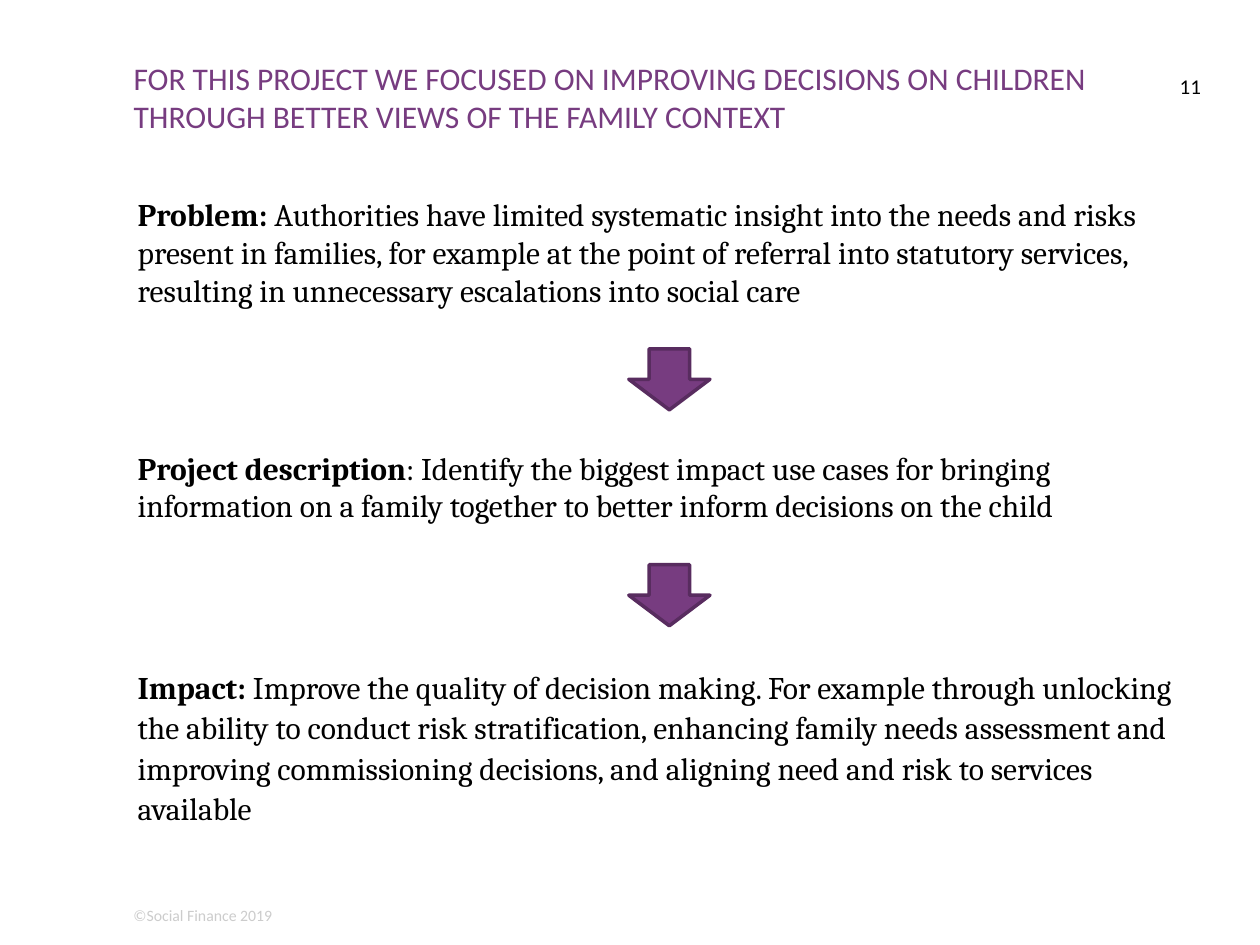
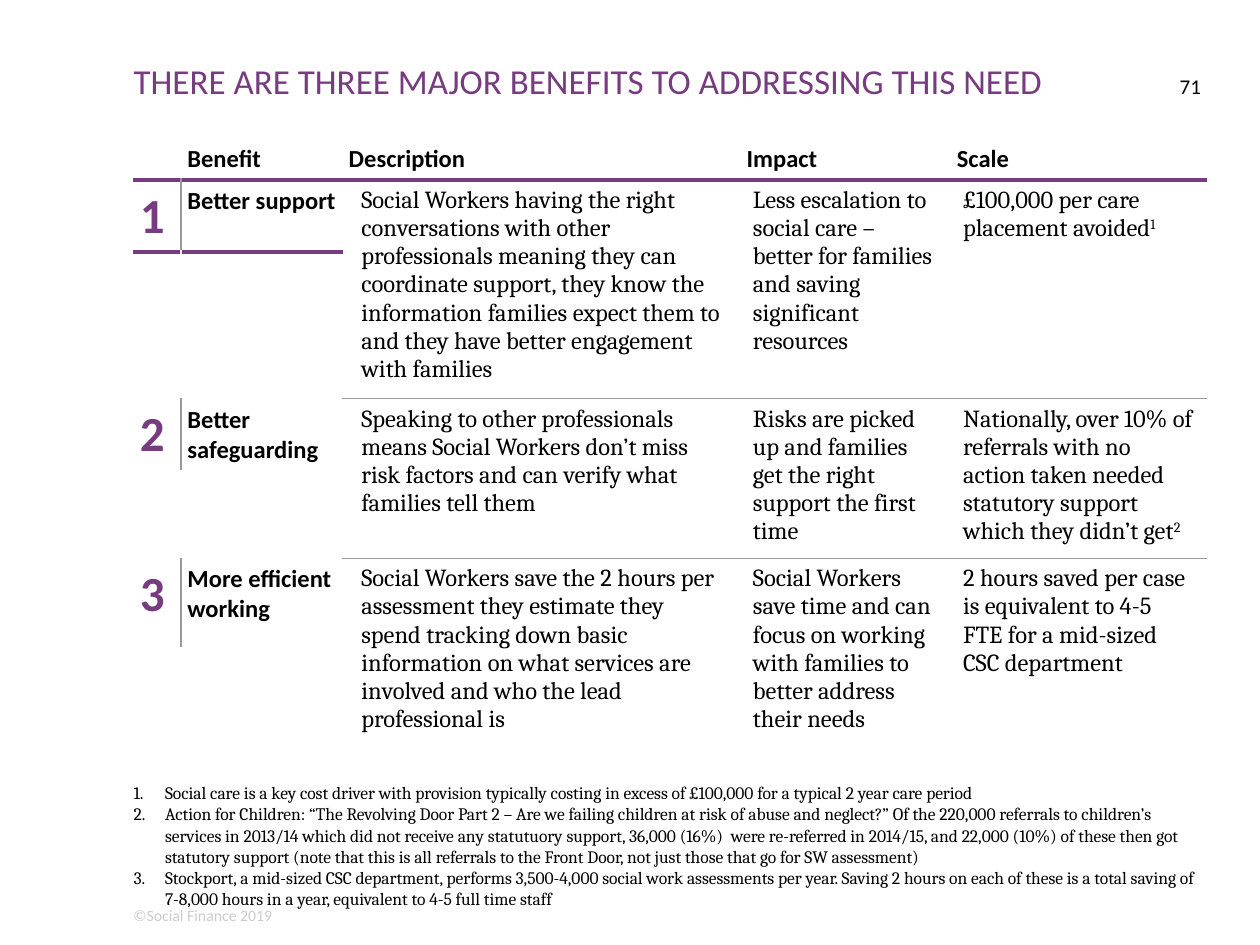
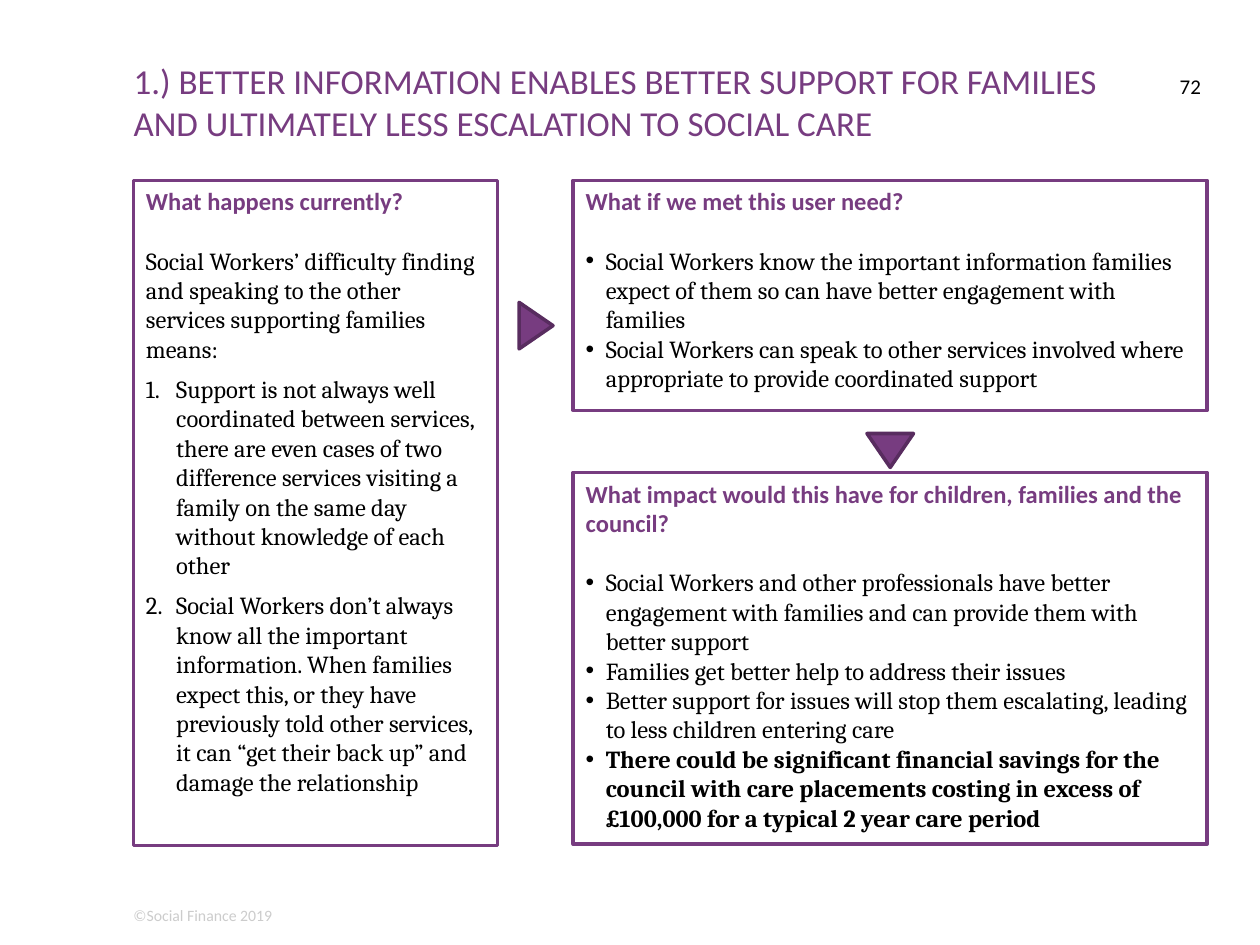
import pptx
import pptx.util
import pptx.dml.color
import pptx.enum.shapes
import pptx.enum.text
import pptx.oxml
import pptx.oxml.ns

Pt = pptx.util.Pt
RGB = pptx.dml.color.RGBColor
SHAPE = pptx.enum.shapes.MSO_SHAPE
ANCHOR = pptx.enum.text.MSO_ANCHOR
ALIGN = pptx.enum.text.PP_ALIGN

PURPLE = RGB(0x77, 0x3C, 0x80)
DARK_PURPLE = RGB(0x58, 0x2C, 0x5F)
GREY = RGB(0x99, 0x99, 0x99)
PALE_GREY = RGB(0xCC, 0xCC, 0xCC)
BLACK = RGB(0, 0, 0)
WHITE = RGB(0xFF, 0xFF, 0xFF)
HEAD_FONT, BODY_FONT = "Calibri", "Cambria"
LEFT = 76.3

FOOTER = "©Social Finance 2019"

FOCUS_TITLE = "FOR THIS PROJECT WE FOCUSED ON IMPROVING DECISIONS ON CHILDREN THROUGH BETTER VIEWS OF THE FAMILY CONTEXT"
FOCUS_STEPS = [
    (111.6, 65.5, 1.0, "Problem:", " Authorities have limited systematic insight into the needs and risks present in families, for example at the point of referral into statutory services, resulting in unnecessary escalations into social care"),
    (256.3, 43.9, 1.0, "Project description", ": Identify the biggest impact use cases for bringing information on a family together to better inform decisions on the child"),
    (380.2, 93.6, 1.07, "Impact:", "\u00a0Improve the quality of decision making. For example through unlocking the ability to conduct risk stratification, enhancing family needs assessment and improving commissioning decisions, and aligning need and risk to services available"),
]
STEP_ARROW_TOPS = [199.3, 322.7]

BENEFITS_TITLE = "THERE ARE THREE MAJOR BENEFITS TO ADDRESSING THIS NEED"
BENEFIT_HEADS = ["Benefit", "Description", "Impact", "Scale"]
BENEFITS = [
    ("Better support",
     "Social Workers having the right conversations with other professionals meaning they can coordinate support, they know the information families expect them to and they have better engagement with families",
     "Less escalation to social care – better for families and saving significant resources",
     "£100,000 per care placement avoided", "1"),
    ("Better safeguarding",
     "Speaking to other professionals means Social Workers don’t miss risk factors and can verify what families tell them",
     "Risks are picked up and families get the right support the first time",
     "Nationally, over 10% of referrals with no action taken needed statutory support which they didn’t get", "2"),
    ("More efficient working",
     "Social Workers save the 2 hours per assessment they estimate they spend tracking down basic information on what services are involved and who the lead professional is",
     "Social Workers save time and can focus on working with families to better address their needs",
     "2 hours saved per case is equivalent to 4-5 FTE for a mid-sized CSC department", ""),
]
COLUMN_WIDTHS = [27.2, 92.2, 227.4, 120.1, 146]
ROW_HEIGHTS = [41.7, 41, 78.6, 41, 46.8, 51, 52.6]
FOOTNOTES = [
    "Social care is a key cost driver with provision typically costing in excess of £100,000 for a typical 2 year care period",
    "Action for Children: “The Revolving Door Part 2 – Are we failing children at risk of abuse and neglect?” Of the 220,000 referrals to children’s services in 2013/14 which did not receive any statutuory support, 36,000 (16%)  were re-referred in 2014/15, and 22,000 (10%) of these then got statutory support (note that this is all referrals to the Front Door, not just those that go for SW assessment)",
    "Stockport, a mid-sized CSC department, performs 3,500-4,000 social work assessments per year. Saving 2 hours on each of these is a total saving of 7-8,000 hours in a year, equivalent to 4-5 full time staff",
]

SUPPORT_TITLE = "1.) BETTER INFORMATION ENABLES BETTER SUPPORT FOR FAMILIES AND ULTIMATELY LESS ESCALATION TO SOCIAL CARE"
NUMBERED = dict(bullet="1.", indent=17.3, before=6)
BULLETED = dict(bullet="•", indent=11.5)
PANELS = [
    ((LEFT, 103, 208.1, 380.2), "What happens currently?", [
        ("Social Workers’ difficulty finding and speaking to the other services supporting families means:", {}),
        ("Support is not always well coordinated between services, there are even cases of two difference services visiting a family on the same day without knowledge of each other", NUMBERED),
        ("Social Workers don’t always know all the important information. When families expect this, or they have previously told other services, it can “get their back up” and damage the relationship", NUMBERED),
    ]),
    ((327.6, 103, 362.2, 131.5), "What if we met this user need?", [
        ("Social Workers know the important information families expect of them so can have better engagement with families", BULLETED),
        ("Social Workers can speak to other services involved where appropriate to provide coordinated support", BULLETED),
    ]),
    ((327.6, 270, 362.2, 212.4), "What impact would this have for children, families and the council?", [
        ("Social Workers and other professionals have better engagement with families and can provide them with better support", BULLETED),
        ("Families get better help to address their issues", BULLETED),
        ("Better support for issues will stop them escalating, leading to less children entering care", BULLETED),
        ("There could be significant financial savings for the council with care placements costing in excess of £100,000 for a typical 2 year care period", dict(BULLETED, bold=True)),
    ]),
]
PANEL_ARROWS = [(293, 176.4, 90), (495.4, 247.7, 180)]


def write(tf, text, size=14, font=BODY_FONT, color=BLACK, bold=False, align=ALIGN.LEFT,
          before=0, after=0, spacing=None, bullet=None, indent=0, same=False, raised=False):
    p = tf.paragraphs[-1]
    if p.runs and not same:
        p = tf.add_paragraph()
    if not same:
        p.alignment = align
        p.space_before, p.space_after = Pt(before), Pt(after)
        if spacing:
            p.line_spacing = spacing
        if bullet:
            pPr = p._p.get_or_add_pPr()
            pPr.set("marL", str(Pt(indent)))
            pPr.set("indent", str(Pt(-indent)))
            if bullet == "1.":
                pptx.oxml.ns.qn("a:buAutoNum")
                add_xml(pPr, "a:buAutoNum", type="arabicPeriod")
            else:
                add_xml(pPr, "a:buFont", typeface="Arial")
                add_xml(pPr, "a:buChar", char=bullet)
    r = p.add_run()
    r.text = text
    r.font.size, r.font.name, r.font.bold = Pt(size), font, bold
    r.font.color.rgb = color
    if raised:
        r._r.get_or_add_rPr().set("baseline", "30000")


def add_xml(parent, tag, **attrs):
    el = parent.makeelement(pptx.oxml.ns.qn(tag), attrs)
    parent.append(el)
    return el


def text_box(s, x, y, w, h):
    tf = s.shapes.add_textbox(Pt(x), Pt(y), Pt(w), Pt(h)).text_frame
    tf.word_wrap = True
    tf.margin_left = tf.margin_right = tf.margin_top = tf.margin_bottom = 0
    return tf


def add_shape(s, kind, x, y, w, h, fill=PURPLE, line=DARK_PURPLE, rotation=0):
    sp = s.shapes.add_shape(kind, Pt(x), Pt(y), Pt(w), Pt(h))
    sp.shadow.inherit = False
    sp.fill.solid()
    sp.fill.fore_color.rgb = fill
    sp.line.color.rgb = line
    sp.line.width = Pt(2)
    sp.rotation = rotation
    return sp


def new_slide(prs, title, number, size=20, width=574.6):
    s = prs.slides.add_slide(prs.slide_layouts[6])
    write(text_box(s, LEFT, 517.7, 607.7, 10.8), FOOTER, size=9, font=HEAD_FONT, color=PALE_GREY)
    write(text_box(s, LEFT, 33.8, width, 53.3), title, size=size, font=HEAD_FONT, color=PURPLE)
    write(text_box(s, 666, 41.8, 20.2, 28.8), number, size=12, font=HEAD_FONT, align=ALIGN.RIGHT)
    return s


def set_borders(cell, **sides):
    tcPr = cell._tc.get_or_add_tcPr()
    for at, side in enumerate(side for side in "LRTB" if side in sides):
        color, width = sides[side]
        ln = add_xml(tcPr, "a:ln" + side, w=str(Pt(width)))
        add_xml(add_xml(ln, "a:solidFill"), "a:srgbClr", val=str(color))
        tcPr.insert(at, ln)


def set_margins(cell, side):
    cell.margin_left = cell.margin_right = Pt(side)
    cell.margin_top = cell.margin_bottom = Pt(3.6)


def build_focus(prs):
    s = new_slide(prs, FOCUS_TITLE, "11", size=18)
    for top, height, spacing, label, text in FOCUS_STEPS:
        tf = text_box(s, 78.7, top, 607.7, height)
        write(tf, label, size=18, bold=True, spacing=spacing)
        write(tf, text, size=18, same=True)
    for top in STEP_ARROW_TOPS:
        add_shape(s, SHAPE.DOWN_ARROW, 359.3, top, 46.4, 34.9)


def build_benefits(prs):
    s = new_slide(prs, BENEFITS_TITLE, "71", width=589.7)
    table = s.shapes.add_table(len(ROW_HEIGHTS), len(COLUMN_WIDTHS), Pt(LEFT), Pt(61.2),
                               Pt(sum(COLUMN_WIDTHS)), Pt(sum(ROW_HEIGHTS))).table
    table.first_row = table.horz_banding = False
    for col, width in zip(table.columns, COLUMN_WIDTHS):
        col.width = Pt(width)
    for row, height in zip(table.rows, ROW_HEIGHTS):
        row.height = Pt(height)
    for cell in table.iter_cells():
        cell.fill.background()
        set_margins(cell, 3.6)

    head_rule, thin_rule = (PURPLE, 2.25), (GREY, 1)
    for col, head in enumerate([""] + BENEFIT_HEADS):
        cell = table.cell(0, col)
        cell.vertical_anchor = ANCHOR.BOTTOM
        set_borders(cell, B=head_rule)
        if head:
            write(cell.text_frame, head, font=HEAD_FONT, bold=True)

    for i, (name, *details, note) in enumerate(BENEFITS):
        top = 1 + 2 * i
        above = {"T": head_rule} if i == 0 else {}
        below = {"B": thin_rule} if i < len(BENEFITS) - 1 else {}
        number, benefit = table.cell(top, 0), table.cell(top, 1)
        write(number.text_frame, str(i + 1), size=28, font=HEAD_FONT, color=PURPLE, bold=True)
        write(benefit.text_frame, name, font=HEAD_FONT, bold=True)
        set_borders(number, R=thin_rule, **above)
        set_borders(benefit, L=thin_rule, **above)
        for col, text in enumerate(details, 2):
            cell, lower = table.cell(top, col), table.cell(top + 1, col)
            cell.merge(lower)
            set_margins(cell, 10.8 if col == 2 else 7.2)
            set_borders(cell, T=head_rule if i == 0 else thin_rule, **below)
            set_borders(lower, **below)
            write(cell.text_frame, text)
        if note:
            write(cell.text_frame, note, same=True, raised=True)

    tf = text_box(s, LEFT, 447.1, 611.3, 72.7)
    for note in FOOTNOTES:
        write(tf, note, size=10, bullet="1.", indent=18)


def build_support(prs):
    s = new_slide(prs, SUPPORT_TITLE, "72")
    for box, heading, points in PANELS:
        tf = add_shape(s, SHAPE.RECTANGLE, *box, fill=WHITE, line=PURPLE).text_frame
        tf.word_wrap = True
        tf.vertical_anchor = ANCHOR.TOP
        write(tf, heading, font=HEAD_FONT, color=PURPLE, bold=True, after=17)
        for text, fmt in points:
            write(tf, text, **fmt)
    for x, y, rotation in PANEL_ARROWS:
        add_shape(s, SHAPE.ISOSCELES_TRIANGLE, x, y, 26.6, 19.4, rotation=rotation)


def main():
    prs = pptx.Presentation()
    prs.slide_width, prs.slide_height = Pt(720), Pt(540)
    build_focus(prs)
    build_benefits(prs)
    build_support(prs)
    prs.save("out.pptx")


if __name__ == "__main__":
    main()
